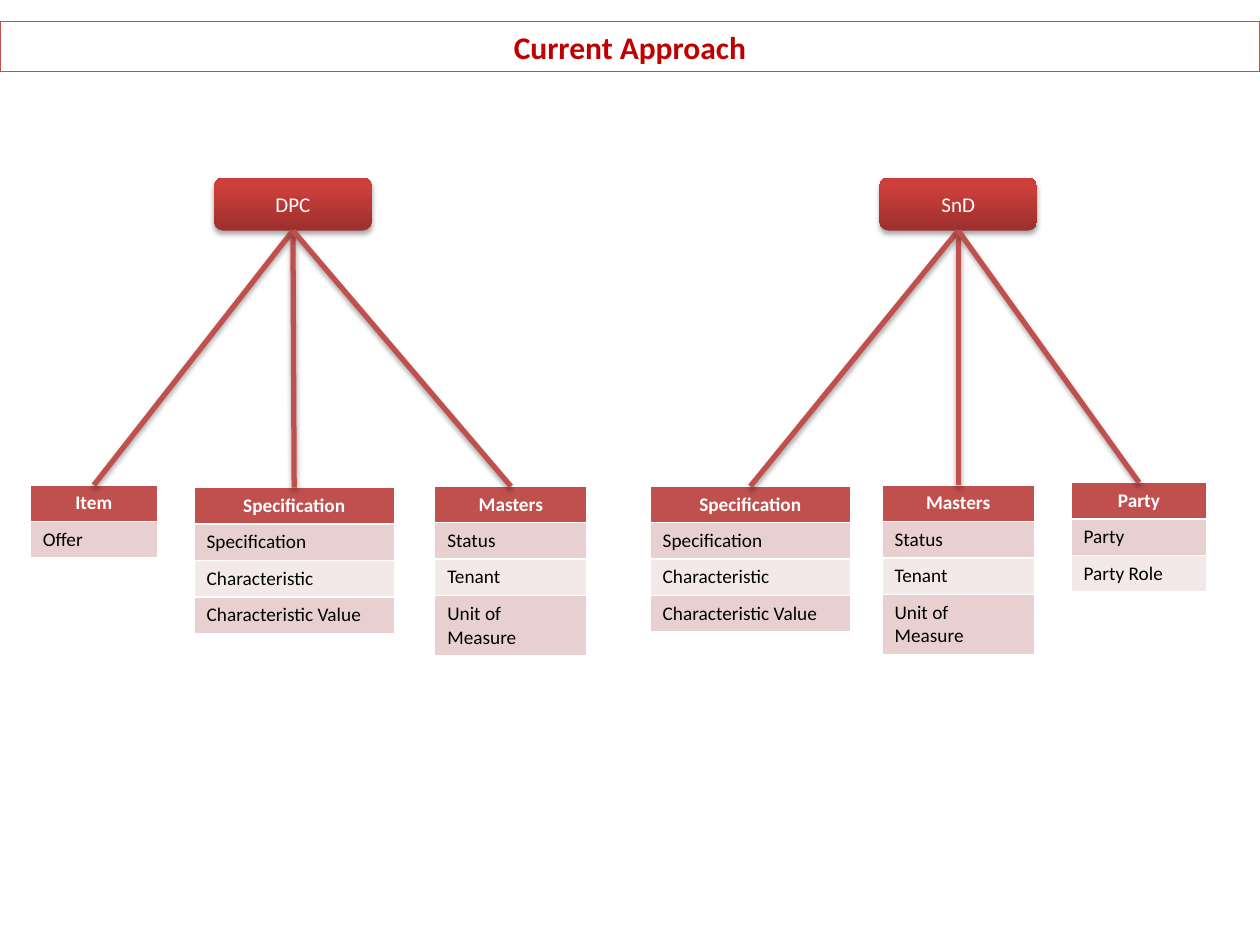
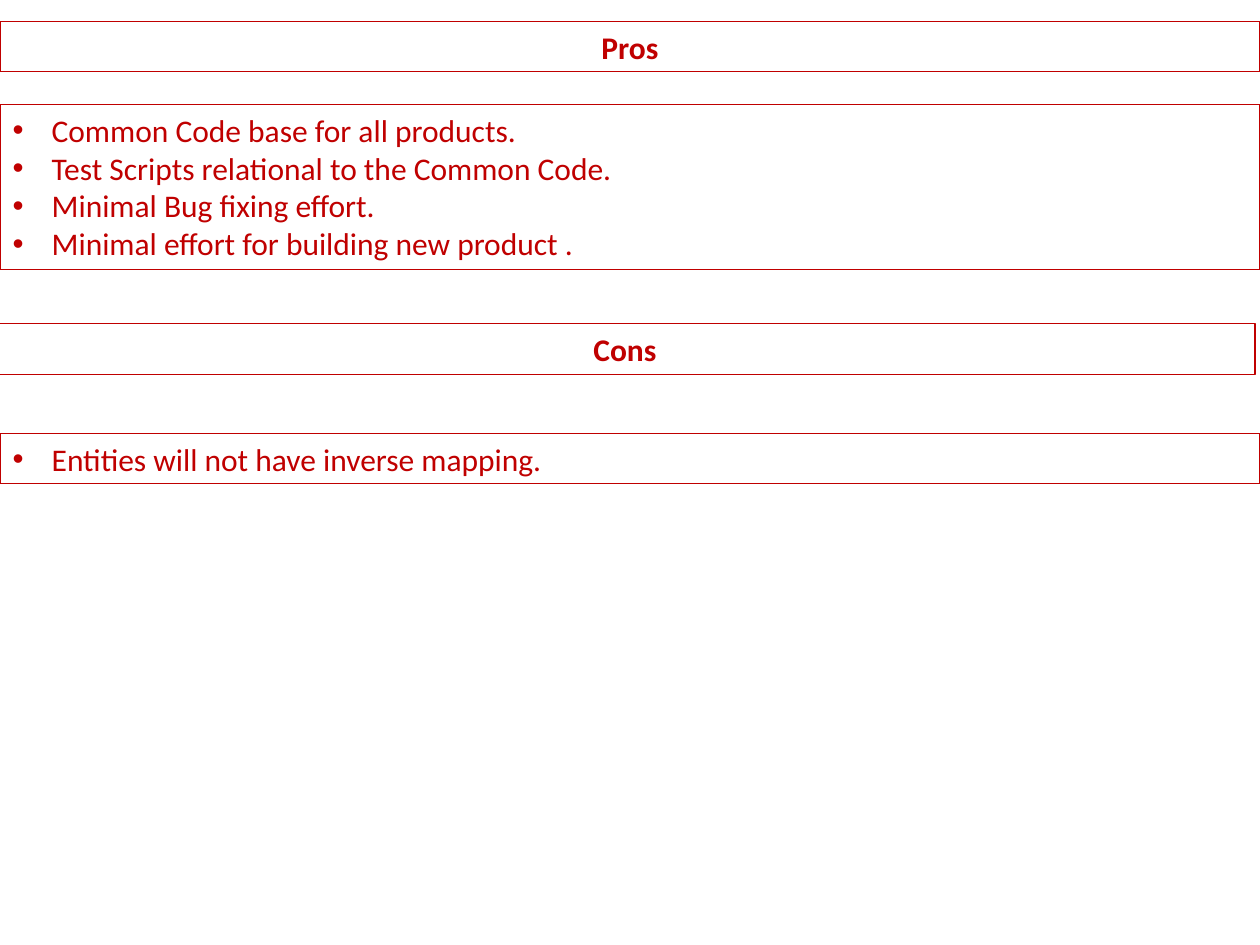
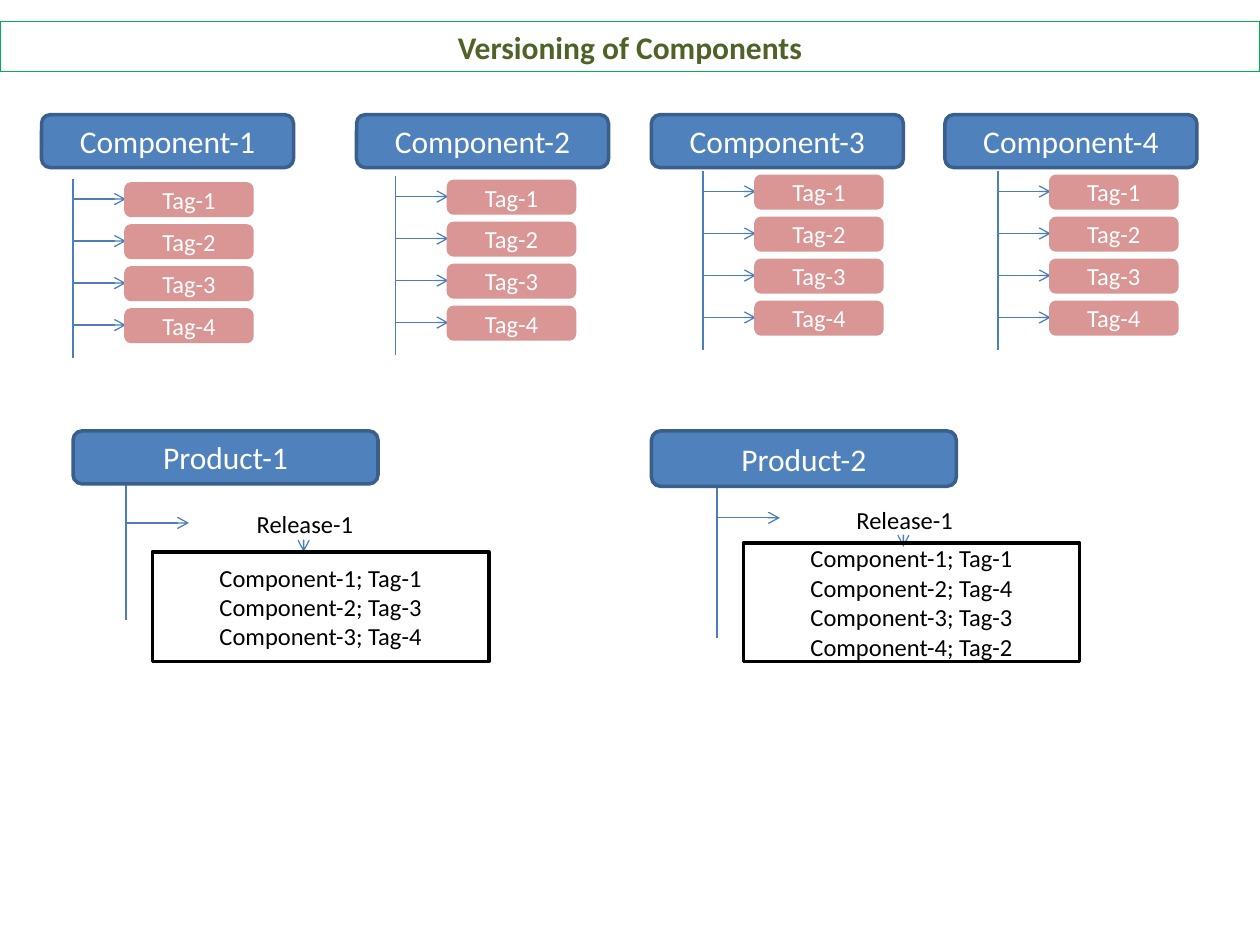
from pptx import Presentation
from pptx.dml.color import RGBColor
from pptx.enum.shapes import MSO_CONNECTOR, MSO_SHAPE
from pptx.enum.text import MSO_ANCHOR, MSO_AUTO_SIZE, PP_ALIGN
from pptx.oxml import parse_xml
from pptx.oxml.ns import nsdecls, qn
from pptx.util import Inches, Pt

STRAIGHT = MSO_CONNECTOR.STRAIGHT
ROUNDED, RECTANGLE = MSO_SHAPE.ROUNDED_RECTANGLE, MSO_SHAPE.RECTANGLE
CENTER, LEFT = PP_ALIGN.CENTER, PP_ALIGN.LEFT
TOP, MIDDLE = MSO_ANCHOR.TOP, MSO_ANCHOR.MIDDLE
NO_AUTOFIT = MSO_AUTO_SIZE.NONE

FONT = "Calibri"
BLACK = RGBColor(0x00, 0x00, 0x00)
WHITE = RGBColor(0xFF, 0xFF, 0xFF)
DEEP_RED = RGBColor(0xC0, 0x00, 0x00)
BRICK = RGBColor(0xC0, 0x50, 0x4D)
BRICK_DARK = RGBColor(0x9C, 0x2F, 0x2D)
BRICK_LIGHT = RGBColor(0xCB, 0x3E, 0x3A)
ROW_TINTS = (RGBColor(0xF4, 0xE9, 0xE9), RGBColor(0xE8, 0xD0, 0xD0))
GREEN = RGBColor(0x00, 0xB0, 0x50)
OLIVE = RGBColor(0x4F, 0x62, 0x28)
BLUE = RGBColor(0x4F, 0x81, 0xBD)
BLUE_EDGE = RGBColor(0x3A, 0x5F, 0x8C)
BLUE_LINE = RGBColor(0x4B, 0x7E, 0xBC)
PINK = RGBColor(0xD9, 0x96, 0x94)

SHADOW = (f'<a:outerShdw {nsdecls("a")} blurRad="{Pt(3.1)}" dist="{Pt(1.8)}" dir="5400000" '
          'rotWithShape="0"><a:srgbClr val="000000"><a:alpha val="35000"/></a:srgbClr></a:outerShdw>')

deck = Presentation()
deck.slide_width, deck.slide_height = Inches(10), Inches(7.5)
UNIT = deck.slide_width // 10  # the grid has 10 columns and 7.5 rows


def write(frame, lines, size, color, bold=False, align=CENTER, anchor=MIDDLE):
    """Fill a text frame with one paragraph a line, all in one style."""
    frame.word_wrap = True
    frame.auto_size = NO_AUTOFIT
    frame.vertical_anchor = anchor
    frame.text = "\n".join(lines)
    for paragraph in frame.paragraphs:
        paragraph.alignment = align
        paragraph.space_before = Pt(0)
        font = paragraph.font
        font.name, font.size, font.bold = FONT, Pt(size), bold
        font.color.rgb = color


def connect(slide, start, end, color=BLUE_LINE, width=0.75, arrow=False):
    """Draw a straight line between two grid points, with no shadow."""
    line = slide.shapes.add_connector(STRAIGHT, *[int(UNIT * n) for n in (*start, *end)])
    line.line.color.rgb, line.line.width = color, Pt(width)
    properties = line._element.spPr
    if arrow:
        properties.find(qn("a:ln")).append(parse_xml(f'<a:tailEnd {nsdecls("a")} type="arrow"/>'))
    properties.append(parse_xml(f'<a:effectLst {nsdecls("a")}/>'))
    return line


title_only, comparison = deck.slide_layouts[5], deck.slide_layouts[4]
approach = deck.slides.add_slide(title_only)
pros_cons = deck.slides.add_slide(comparison)
versioning = deck.slides.add_slide(title_only)

# Outlined headings and lists
pros_text = ["Common Code base for all products.",
             "Test Scripts relational to the Common Code.",
             "Minimal Bug fixing effort.",
             "Minimal effort for building new product ."]
cons_text = ["Entities will not have inverse mapping."]
cons_title, pros_list, spare, cons_list = list(pros_cons.placeholders)[1:]
spare._element.getparent().remove(spare._element)

BAR_TOP, BAR_HEIGHT = 0.17, 0.4
headings = [
    (approach.shapes.title, 0, BAR_TOP, "Current Approach", BRICK, DEEP_RED),
    (pros_cons.shapes.title, 0, BAR_TOP, "Pros", DEEP_RED, DEEP_RED),
    (cons_title, -0.04, 2.57, "Cons", DEEP_RED, DEEP_RED),
    (versioning.shapes.title, 0, BAR_TOP, "Versioning of Components", GREEN, OLIVE),
]
lists = [(pros_list, 0.83, 1.31, pros_text), (cons_list, 3.44, BAR_HEIGHT, cons_text)]
bars = [(bar, left, top, BAR_HEIGHT, edge) for bar, left, top, _, edge, _ in headings]
bars += [(bar, 0, top, height, DEEP_RED) for bar, top, height, _ in lists]
for bar, left, top, height, edge in bars:
    bar.left, bar.top = int(UNIT * left), int(UNIT * top)
    bar.width, bar.height = deck.slide_width, int(UNIT * height)
    bar.line.color.rgb, bar.line.width = edge, Pt(0.75)
for bar, _, _, heading, _, color in headings:
    write(bar.text_frame, [heading], 18, color, bold=True, anchor=TOP)
for bar, _, _, points in lists:
    write(bar.text_frame, points, 18, DEEP_RED, align=LEFT, anchor=TOP)
    for paragraph in bar.text_frame.paragraphs:
        indents = paragraph._p.get_or_add_pPr()
        indents.set("marL", str(Inches(0.31)))
        indents.set("indent", str(-Inches(0.31)))

# Current approach: two systems, each linked to its entity tables
specification = ["Specification", "Specification", "Characteristic", "Characteristic Value"]
masters = ["Masters", "Status", "Tenant", "Unit of Measure"]
systems = [
    ("DPC", 1.7, [(0.24, 3.85, 1.01, ["Item", "Offer"]),
                  (1.54, 3.87, 1.59, specification),
                  (3.45, 3.86, 1.21, masters)]),
    ("SnD", 6.98, [(5.16, 3.86, 1.59, specification),
                   (7, 3.85, 1.21, masters),
                   (8.5, 3.83, 1.08, ["Party", "Party", "Party Role"])]),
]
SYSTEM_TOP, SYSTEM_WIDTH, SYSTEM_HEIGHT, ROW = 1.41, 1.25, 0.42, 0.28
for name, left, entities in systems:
    system = approach.shapes.add_shape(
        ROUNDED, *[int(UNIT * n) for n in (left, SYSTEM_TOP, SYSTEM_WIDTH, SYSTEM_HEIGHT)])
    system.fill.gradient()
    system.fill.gradient_angle = 90
    dark, light = system.fill.gradient_stops
    dark.color.rgb, dark.position = BRICK_DARK, 0
    light.color.rgb, light.position = BRICK_LIGHT, 0.8
    system.line.fill.background()
    system.shadow.inherit = False
    write(system.text_frame, [name], 12, WHITE)
    shadowed = [system]
    hub = (left + SYSTEM_WIDTH / 2, SYSTEM_TOP + SYSTEM_HEIGHT)
    for table_left, top, width, entries in entities:
        table = approach.shapes.add_table(
            len(entries), 1,
            *[int(UNIT * n) for n in (table_left, top, width, ROW * len(entries))]).table
        for row, entry in enumerate(entries):
            header = row == 0
            cell = table.cell(row, 0)
            cell.fill.solid()
            cell.fill.fore_color.rgb = BRICK if header else ROW_TINTS[row % 2]
            cell.text = entry
            paragraph = cell.text_frame.paragraphs[0]
            paragraph.alignment = CENTER if header else LEFT
            font = paragraph.font
            font.name, font.size, font.bold = FONT, Pt(11), header
            font.color.rgb = WHITE if header else BLACK
        shadowed.append(connect(approach, hub, (table_left + width / 2, top), BRICK, 3))
    for part in shadowed:
        part._element.spPr.find(qn("a:effectLst")).append(parse_xml(SHADOW))

# Versioning: components with their tags, then products with their releases
boxes = []  # shape, place, lines, size, text colour, fill, edge
TAG_GAP, TRUNK_LENGTH, BRANCH = 1 / 3, 1.42, 0.42
components = [(0.33, 0.58, 1.42), (2.83, 3.14, 1.4), (5.17, 5.58, 1.36), (7.5, 7.92, 1.36)]
for number, (left, trunk, top) in enumerate(components, 1):
    boxes.append((ROUNDED, (left, 0.91, 2, 0.42), [f"Component-{number}"],
                  18, WHITE, BLUE, BLUE_EDGE))
    connect(versioning, (trunk, top), (trunk, top + TRUNK_LENGTH))
    for tag in range(4):
        level = top + 0.16 + tag * TAG_GAP
        connect(versioning, (trunk, level), (trunk + BRANCH, level), arrow=True)
        boxes.append((ROUNDED, (trunk + BRANCH, level - 0.12, 1, 0.25), [f"Tag-{tag + 1}"],
                      14, WHITE, PINK, PINK))

# Left and height of the header, trunk (x, end, branch level),
# release (left, top), contents (left, top, height), arrow (x, top, end), tags
products = [
    (0.58, 0.42, (1, 4.92, 4.15), (1.01, 3.99), (1.21, 4.38, 0.87), (2.41, 4.32, 4.38), (1, 3, 4)),
    (5.17, 0.44, (5.69, 5.06, 4.11), (5.77, 3.96), (5.9, 4.31, 0.94), (7.17, 4.29, 4.34),
     (1, 4, 3, 2)),
]
for number, product in enumerate(products, 1):
    left, height, (trunk, end, level), release, contents, (drop, start, stop), tags = product
    boxes.append((ROUNDED, (left, 3.42, 2.42, height), [f"Product-{number}"],
                  18, WHITE, BLUE, BLUE_EDGE))
    boxes.append((ROUNDED, (*release, 2.82, 0.33), ["Release-1"], 14, BLACK, None, None))
    contents_left, contents_top, contents_height = contents
    boxes.append((RECTANGLE, (contents_left, contents_top, 2.67, contents_height),
                  [f"Component-{part}; Tag-{tag}" for part, tag in enumerate(tags, 1)],
                  14, BLACK, None, BLACK))
    connect(versioning, (trunk, 3.42 + height), (trunk, end))
    connect(versioning, (trunk, level), (trunk + 0.5, level), arrow=True)
    connect(versioning, (drop, start), (drop, stop), arrow=True)

for outline, place, lines, size, color, fill, edge in boxes:
    box = versioning.shapes.add_shape(outline, *[int(UNIT * n) for n in place])
    box.shadow.inherit = False
    if fill is None:
        box.fill.background()
    else:
        box.fill.solid()
        box.fill.fore_color.rgb = fill
    if edge is None:
        box.line.fill.background()
    else:
        box.line.color.rgb, box.line.width = edge, Pt(2)
    write(box.text_frame, lines, size, color)

deck.save("out.pptx")
